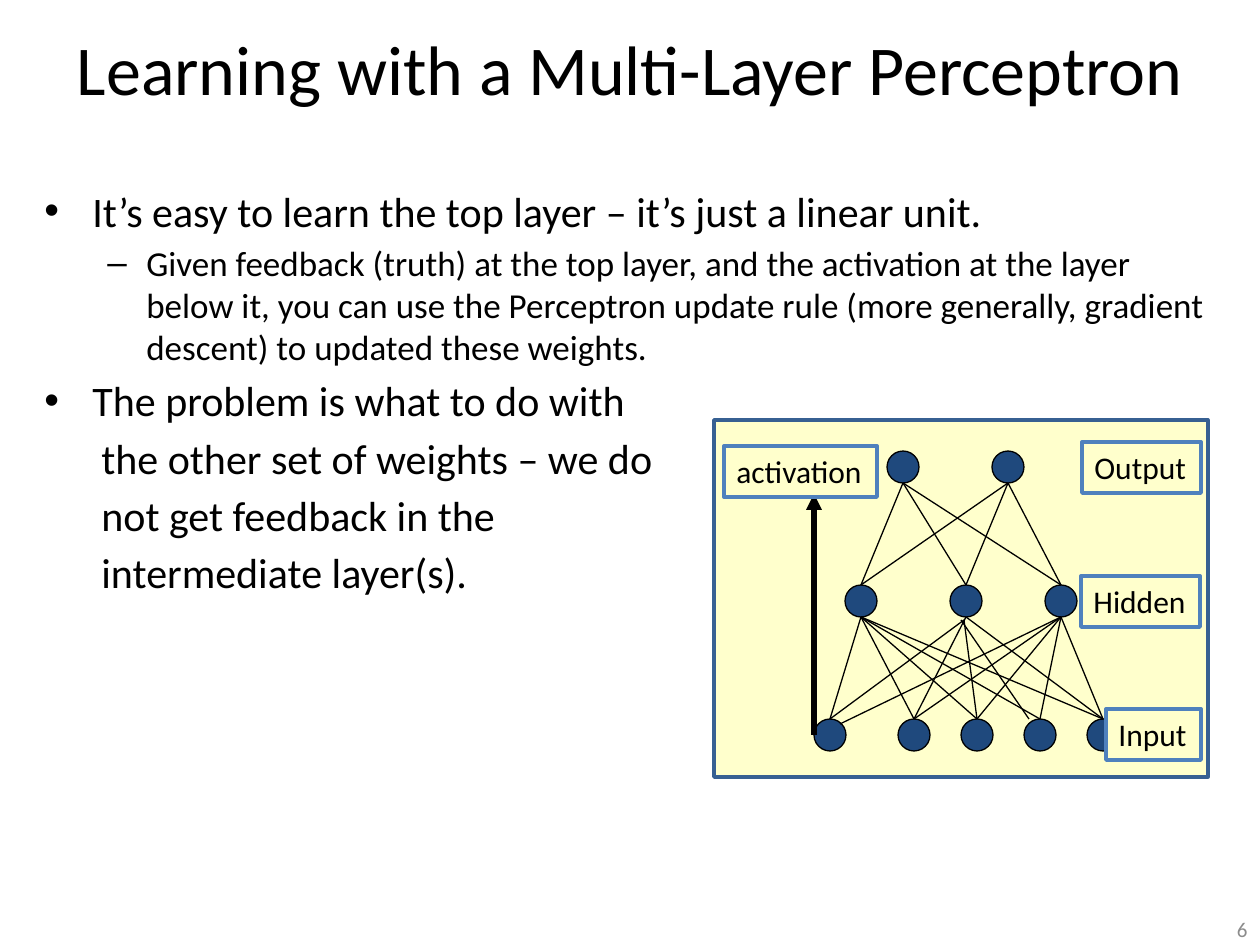
"""Builds a slide on learning with a multi-layer perceptron."""
from itertools import product

from lxml import etree
from pptx import Presentation
from pptx import util as u
from pptx.dml.color import RGBColor
from pptx.enum import shapes, text
from pptx.oxml.ns import qn

SCALE = 914400 / 126
FONT = "Calibri"
BLACK, CREAM, NAVY = "000000", "FFFFCC", "1F497D"

TITLE = "Learning with a Multi-Layer Perceptron"
PAGE = "6"
TOP, SUB, CONTINUED = (24, 48, -48, 7, "•"), (20, 102, -39, 6, "–"), (24, 57, 0, 7, None)
BODY = [
    (TOP, "It’s easy to learn the top layer – it’s just a linear unit."),
    (SUB, "Given feedback (truth) at the top layer, and the activation at the layer "
          "below it, you can use the Perceptron update rule (more generally, gradient "
          "descent) to updated these weights."),
    (TOP, "The problem is what to do with"),
    (CONTINUED, "the other set of weights – we do"),
    (CONTINUED, "not get feedback in the"),
    (CONTINUED, "intermediate layer(s)."),
]

PANEL = (714, 420, 494, 357)
RADIUS = 16
OUTPUT = (467, [903, 1008])
HIDDEN = (601, [861, 966, 1061])
INPUT = (735, [830, 914, 977, 1040, 1103])
NUDGES = {
    (1, 0): (-2, 3, 0, 0),
    (1, 2): (-2, 3, 0, 0),
    (1, 3): (-5, 3, -11, 0),
    (2, 0): (0, 0, 10, 5),
}
ARROW = (814, 735, 814, 494)
LABELS = [
    ("activation", (724, 446, 153, 51)),
    ("Input", (1106, 709, 95, 51)),
    ("Hidden", (1081, 576, 119, 51)),
    ("Output", (1082, 442, 119, 51)),
]


def px(value):
    return u.Emu(round(value * SCALE))


def color(value):
    return RGBColor.from_string(value)


def add_run(paragraph, words, size, ink=BLACK):
    run = paragraph.add_run()
    run.text = words
    run.font.name, run.font.size = FONT, u.Pt(size)
    run.font.color.rgb = color(ink)


def add_text(box, anchor=text.MSO_ANCHOR.TOP):
    frame = slide.shapes.add_textbox(*map(px, box)).text_frame
    frame.word_wrap = True
    frame.vertical_anchor = anchor
    return frame


def add_line_of_text(box, words, size, alignment, ink=BLACK):
    paragraph = add_text(box, text.MSO_ANCHOR.MIDDLE).paragraphs[0]
    paragraph.alignment = alignment
    add_run(paragraph, words, size, ink)


def add_bullets(box, items):
    frame = add_text(box)
    for index, ((size, margin, indent, before, bullet), words) in enumerate(items):
        paragraph = frame.add_paragraph() if index else frame.paragraphs[0]
        paragraph.space_before = px(before)
        properties = paragraph._p.get_or_add_pPr()
        properties.set("marL", str(px(margin)))
        properties.set("indent", str(px(indent)))
        if bullet:
            etree.SubElement(properties, qn("a:buFont")).set("typeface", "Arial")
            etree.SubElement(properties, qn("a:buChar")).set("char", bullet)
        add_run(paragraph, words, size)


def add_shape(kind, box, fill, line, width):
    shape = slide.shapes.add_shape(kind, *map(px, box))
    shape.shadow.inherit = False
    shape.fill.solid()
    shape.fill.fore_color.rgb = color(fill)
    shape.line.color.rgb = color(line)
    shape.line.width = u.Pt(width)
    return shape


def add_line(ends, width=0.75, arrow=False):
    connector = slide.shapes.add_connector(shapes.MSO_CONNECTOR.STRAIGHT, *map(px, ends))
    connector.line.color.rgb = color(BLACK)
    connector.line.width = u.Pt(width)
    if arrow:
        line = connector.line._get_or_add_ln()
        etree.SubElement(line, qn("a:tailEnd")).set("type", "triangle")
    etree.SubElement(connector._element.spPr, qn("a:effectLst"))


def add_layer(y, centers):
    for x in centers:
        box = (x - RADIUS, y - RADIUS, 2 * RADIUS, 2 * RADIUS)
        add_shape(shapes.MSO_SHAPE.OVAL, box, NAVY, BLACK, 0.75)


def connect_layers(upper, lower, nudges):
    (top, starts), (bottom, stops) = upper, lower
    for pair in product(range(len(starts)), range(len(stops))):
        ends = (starts[pair[0]], top + RADIUS, stops[pair[1]], bottom - RADIUS)
        add_line([end + nudge for end, nudge in zip(ends, nudges.get(pair, (0, 0, 0, 0)))])


def add_label(words, box):
    shape = add_shape(shapes.MSO_SHAPE.RECTANGLE, box, CREAM, "4F81BD", 2.25)
    frame = shape.text_frame
    frame.word_wrap = False
    frame.vertical_anchor = text.MSO_ANCHOR.TOP
    frame.paragraphs[0].alignment = text.PP_ALIGN.LEFT
    add_run(frame.paragraphs[0], words, 18)


presentation = Presentation()
presentation.slide_width, presentation.slide_height = px(1260), px(945)
slide = presentation.slides.add_slide(presentation.slide_layouts[6])

add_line_of_text((0, 0, 1260, 136), TITLE, 40, text.PP_ALIGN.CENTER)
add_bullets((32, 179, 1197, 724), BODY)
add_line_of_text((966, 914, 294, 31), PAGE, 12, text.PP_ALIGN.RIGHT, "8C8C8C")

add_shape(shapes.MSO_SHAPE.RECTANGLE, PANEL, CREAM, "376092", 2)
for layer in (INPUT, HIDDEN, OUTPUT):
    add_layer(*layer)
connect_layers(OUTPUT, HIDDEN, {})
connect_layers(HIDDEN, INPUT, NUDGES)
add_line(ARROW, 3, arrow=True)
for label in LABELS:
    add_label(*label)

presentation.save("out.pptx")
